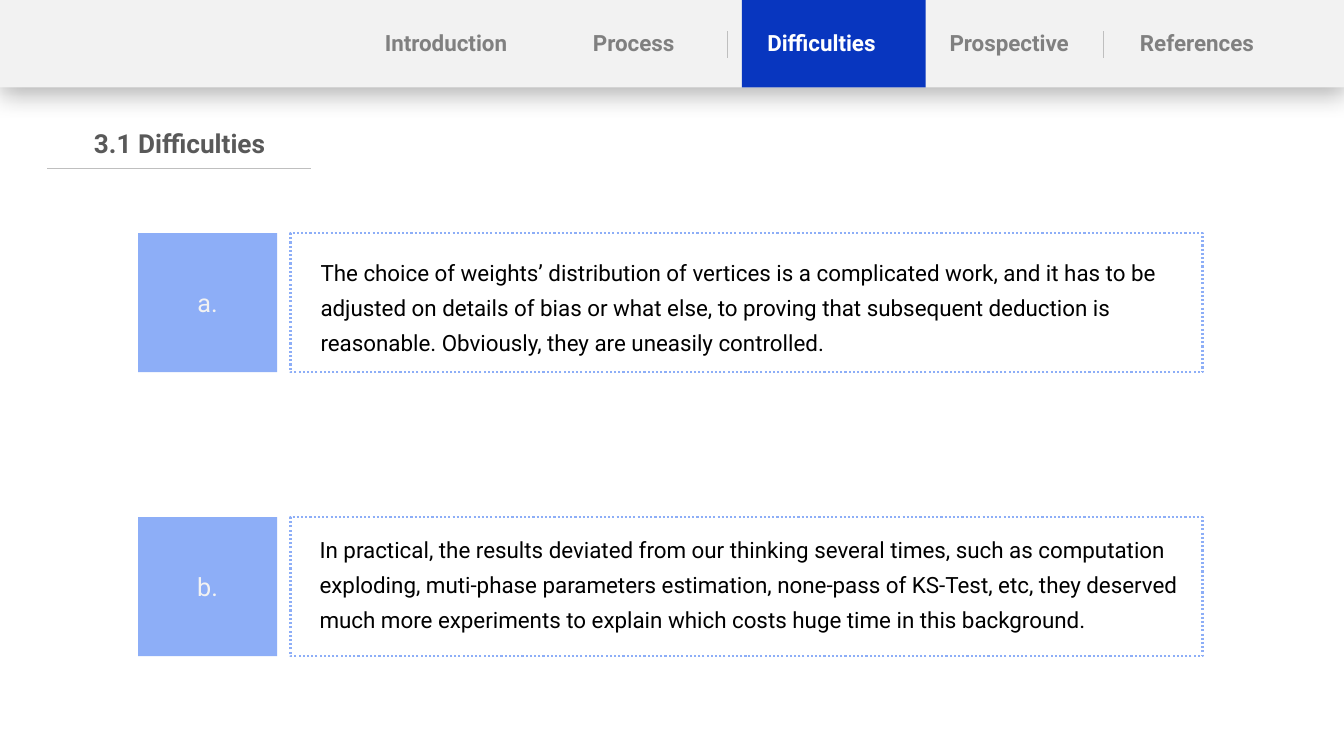
from lxml import etree
from pptx import Presentation
from pptx.dml.color import RGBColor
from pptx.enum.dml import MSO_LINE
from pptx.enum.shapes import MSO_CONNECTOR, MSO_SHAPE
from pptx.enum.text import MSO_ANCHOR, MSO_AUTO_SIZE, PP_ALIGN
from pptx.oxml import parse_xml
from pptx.oxml.ns import qn
from pptx.util import Pt

RECT, STRAIGHT = MSO_SHAPE.RECTANGLE, MSO_CONNECTOR.STRAIGHT
CENTER, LEFT = PP_ALIGN.CENTER, PP_ALIGN.LEFT
MIDDLE, GROW = MSO_ANCHOR.MIDDLE, MSO_AUTO_SIZE.SHAPE_TO_FIT_TEXT
DOTTED = MSO_LINE.ROUND_DOT

BLACK = RGBColor(0x00, 0x00, 0x00)
WHITE = RGBColor(0xFF, 0xFF, 0xFF)
BAR_GRAY = RGBColor(0xF2, 0xF2, 0xF2)
RULE_GRAY = RGBColor(0xBF, 0xBF, 0xBF)
TAB_GRAY = RGBColor(0x80, 0x80, 0x80)
TITLE_GRAY = RGBColor(0x59, 0x59, 0x59)
BLUE = RGBColor(0x08, 0x36, 0xBF)
LIGHT_BLUE = RGBColor(0x8D, 0xAE, 0xF7)

SHADOW = (
    '<a:outerShdw xmlns:a="http://schemas.openxmlformats.org/drawingml/2006/main"'
    f' blurRad="{Pt(18)}" dist="{Pt(4)}" dir="5400000" algn="t" rotWithShape="0">'
    '<a:srgbClr val="000000"><a:alpha val="29000"/></a:srgbClr></a:outerShdw>'
)

TABS = ["Introduction", "Process", "Difficulties", "Prospective", "References"]
ACTIVE_TAB = 2
DIVIDED_TABS = (2, 4)  # tabs with a divider on their left
TAB_LEFT, TAB_PITCH, TAB_WIDTH = 265.7, 134.1, 105.8

# letter, text, text offset from the top left of the dotted frame
DIFFICULTIES = [
    ("a.", "The choice of weights’ distribution of vertices is a complicated work, "
     "and it has to be adjusted on details of bias or what else, to proving that "
     "subsequent deduction is reasonable. Obviously, they are uneasily controlled.",
     14.4, 9.3, 629.3),
    ("b.", "In practical, the results deviated from our thinking several times, such "
     "as computation exploding, muti-phase parameters estimation, none-pass of "
     "KS-Test, etc, they deserved much more experiments to explain which costs huge "
     "time in this background.",
     13.7, 4.3, 637.2),
]


def write(tf, text, align=LEFT, spacing=None, **font):
    p = tf.paragraphs[0]
    p.alignment = align
    if spacing:
        p.line_spacing = spacing
    r = p.add_run()
    r.text = text
    r.font.name = "Roboto"
    r.font.color.rgb = font.pop("color")
    for name, value in font.items():
        setattr(r.font, name, value)


def add_text(slide, x, y, w, h, text, flush=False, **style):
    """Text box growing with its text; flush drops the side margins."""
    tf = slide.shapes.add_textbox(Pt(x), Pt(y), Pt(w), Pt(h)).text_frame
    tf.word_wrap = True
    tf.auto_size = GROW
    if flush:
        tf.margin_left = tf.margin_right = 0
    write(tf, text, **style)


def add_rect(slide, x, y, w, h, fill=None):
    sp = slide.shapes.add_shape(RECT, Pt(x), Pt(y), Pt(w), Pt(h))
    sp.shadow.inherit = False
    sp.line.fill.background()
    if fill is None:
        sp.fill.background()
    else:
        sp.fill.solid()
        sp.fill.fore_color.rgb = fill
    return sp


def add_rule(slide, x1, y1, x2, y2):
    line = slide.shapes.add_connector(STRAIGHT, Pt(x1), Pt(y1), Pt(x2), Pt(y2))
    line.line.color.rgb = RULE_GRAY
    line.line.width = Pt(0.5)
    etree.SubElement(line._element.spPr, qn("a:effectLst"))


def add_nav_bar(slide, x, y, w, h):
    bar = add_rect(slide, x, y, w, h, BAR_GRAY)
    bar._element.spPr.find(qn("a:effectLst")).append(parse_xml(SHADOW))
    for i, tab in enumerate(TABS):
        left = x + TAB_LEFT + i * TAB_PITCH
        active = i == ACTIVE_TAB
        if active:
            add_rect(slide, left - 4, y, 131.3, h, BLUE)
        if i in DIVIDED_TABS:
            add_rule(slide, left - 14.2, y + 22.2, left - 14.2, y + 41.6)
        add_text(slide, left, y + 17.6, TAB_WIDTH, 27, tab, flush=True, align=CENTER,
                 size=Pt(16), bold=True, color=WHITE if active else TAB_GRAY)


def add_title(slide, x, y, w, h):
    """Section title over a rule along the bottom of the box."""
    add_text(slide, x + 20, y, 149, 30.3, "3.1 Difficulties", flush=True,
             align=CENTER, size=Pt(18.7), bold=True, color=TITLE_GRAY)
    add_rule(slide, x, y + h, x + w, y + h)


def add_difficulty(slide, x, y, w, h, letter, text, dx, dy, text_width):
    """Square letter tile, then a dotted frame with the text."""
    tile = add_rect(slide, x, y, h, h, LIGHT_BLUE)
    tile.text_frame.vertical_anchor = MIDDLE
    write(tile.text_frame, letter, align=CENTER, size=Pt(18), color=BAR_GRAY)

    frame_x = x + h + 9.5
    frame = add_rect(slide, frame_x, y, x + w - frame_x, h)
    frame.line.color.rgb = LIGHT_BLUE
    frame.line.width = Pt(1.5)
    frame.line.dash_style = DOTTED
    add_text(slide, frame_x + dx, y + dy, text_width, 81.4, text,
             spacing=1.3, size=Pt(16), color=BLACK)


def main():
    prs = Presentation()
    prs.slide_width, prs.slide_height = Pt(960), Pt(540)
    slide = prs.slides.add_slide(prs.slide_layouts[6])
    add_title(slide, 33.8, 87.1, 188.6, 33.1)
    for i, difficulty in enumerate(DIFFICULTIES):
        add_difficulty(slide, 98.6, 166.5 + i * 202.8, 760.4, 99.4, *difficulty)
    add_nav_bar(slide, 0, 0, 960, 62.4)
    prs.save("out.pptx")


if __name__ == "__main__":
    main()
